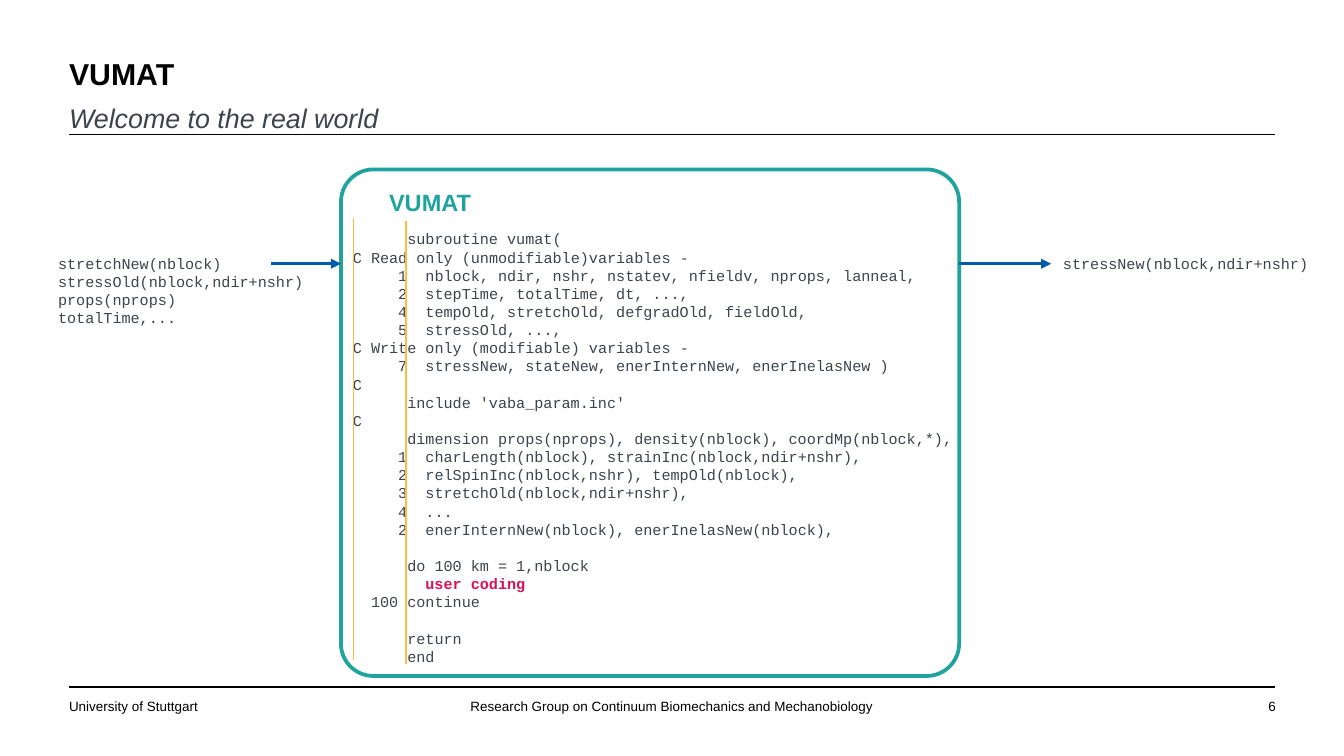
from dataclasses import dataclass

from lxml import etree
from pptx import Presentation
from pptx.dml.color import RGBColor
from pptx.enum.shapes import MSO_CONNECTOR, MSO_SHAPE
from pptx.enum.text import MSO_ANCHOR, MSO_AUTO_SIZE, PP_ALIGN
from pptx.oxml.ns import qn
from pptx.util import Cm, Pt

STRAIGHT = MSO_CONNECTOR.STRAIGHT
ROUNDED = MSO_SHAPE.ROUNDED_RECTANGLE
LEFT, CENTER, RIGHT = PP_ALIGN.LEFT, PP_ALIGN.CENTER, PP_ALIGN.RIGHT
TOP, MIDDLE, BOTTOM = MSO_ANCHOR.TOP, MSO_ANCHOR.MIDDLE, MSO_ANCHOR.BOTTOM
NO_FIT = MSO_AUTO_SIZE.NONE

BLACK, GREY, TEAL = "000000", "3E444C", "20A39E"
BLUE, AMBER, RED = "005BAA", "FFBC42", "D81159"
CODE_PITCH = Pt(10.8)
CODE_CHAR = Pt(5.4)
PAGE_LEFT, PAGE_RIGHT = 1.45, 26.77
PAGE_WIDTH = PAGE_RIGHT - PAGE_LEFT
FRAME_LEFT, FRAME_RIGHT = 7.16, 20.14
ARROW_Y = 5.54


@dataclass
class CodeLine:
    """One line of code, indented by a number of characters."""
    indent: int
    text: str
    blank_before: bool = False
    color: str = GREY
    bold: bool = False


@dataclass
class Label:
    """A one-line text and the box it stands in, in centimetres."""
    text: str
    area: tuple[float, float, float, float]
    font: dict
    align: int = LEFT
    anchor: int = TOP
    margins: tuple[float, float] = (0, 0)


@dataclass
class Stroke:
    """A straight line between two points, in centimetres."""
    start: tuple[float, float]
    end: tuple[float, float]
    color: str
    width: float
    arrow: bool = False


SUBROUTINE = [
    CodeLine(6, "subroutine vumat("),
    CodeLine(0, "C Read only (unmodifiable)variables -"),
    CodeLine(5, "1  nblock, ndir, nshr, nstatev, nfieldv, nprops, lanneal,"),
    CodeLine(5, "2  stepTime, totalTime, dt, ...,"),
    CodeLine(5, "4  tempOld, stretchOld, defgradOld, fieldOld,"),
    CodeLine(5, "5  stressOld, ...,"),
    CodeLine(0, "C Write only (modifiable) variables -"),
    CodeLine(5, "7  stressNew, stateNew, enerInternNew, enerInelasNew )"),
    CodeLine(0, "C"),
    CodeLine(6, "include 'vaba_param.inc'"),
    CodeLine(0, "C"),
    CodeLine(6, "dimension props(nprops), density(nblock), coordMp(nblock,*),"),
    CodeLine(5, "1  charLength(nblock), strainInc(nblock,ndir+nshr),"),
    CodeLine(5, "2  relSpinInc(nblock,nshr), tempOld(nblock),"),
    CodeLine(5, "3  stretchOld(nblock,ndir+nshr),"),
    CodeLine(5, "4  ..."),
    CodeLine(5, "2  enerInternNew(nblock), enerInelasNew(nblock),"),
    CodeLine(6, "do 100 km = 1,nblock", blank_before=True),
    CodeLine(8, "user coding", color=RED, bold=True),
    CodeLine(2, "100 continue"),
    CodeLine(6, "return", blank_before=True),
    CodeLine(6, "end"),
]
INPUTS = [CodeLine(0, text) for text in (
    "stretchNew(nblock)", "stressOld(nblock,ndir+nshr)",
    "props(nprops)", "totalTime,...")]
OUTPUTS = [CodeLine(0, "stressNew(nblock,ndir+nshr)")]
CODE_BOXES = [
    (SUBROUTINE, (FRAME_LEFT, 4.7, 13.46, 9.5)),
    (INPUTS, (0.97, 5.21, 5.74, 2.57)),
    (OUTPUTS, (22.07, 5.21, 5.74, 0.64)),
]

FOOTER_FONT = {"size": Pt(8)}
LABELS = [
    Label("University of Stuttgart", (PAGE_LEFT, 14.66, 4.19, 0.33), FOOTER_FONT),
    Label("6", (25.98, 14.66, 0.81, 0.33), FOOTER_FONT, RIGHT),
    Label("Research Group on Continuum Biomechanics and Mechanobiology",
          (7.47, 14.66, 13.28, 0.33), FOOTER_FONT, CENTER, MIDDLE),
    Label("VUMAT", (7.92, 3.81, 2.67, 0.86),
          {"size": Pt(14), "bold": True, "color": TEAL}, margins=(0.25, 0.13)),
]
STROKES = [
    Stroke((PAGE_LEFT, 2.82), (PAGE_RIGHT, 2.82), BLACK, 0.75),
    Stroke((PAGE_LEFT, 14.43), (PAGE_RIGHT, 14.43), BLACK, 0.75),
    Stroke((5.69, ARROW_Y), (FRAME_LEFT, ARROW_Y), BLUE, 1.5, True),
    Stroke((FRAME_RIGHT, ARROW_Y), (22.07, ARROW_Y), BLUE, 1.5, True),
    Stroke((8.53, 4.65), (8.53, 13.94), AMBER, 1),
    Stroke((7.42, 4.57), (7.42, 13.87), AMBER, 1),
]


def rgb(color: str) -> RGBColor:
    """Turn a hex string into a colour."""
    return RGBColor.from_string(color)


def set_all(target, values: dict) -> None:
    """Set every attribute named in values."""
    for name, value in values.items():
        setattr(target, name, value)


def add_span(para, text: str, color: str = BLACK, **font) -> None:
    """Add formatted text to a paragraph."""
    span = para.add_run()
    span.text = text
    set_all(span.font, {"name": "Arial", "bold": False} | font)
    span.font.color.rgb = rgb(color)


def set_frame(frame, anchor=TOP, margins=(0.25, 0.13)) -> None:
    """Set wrapping, anchor and the side and top margins of a text frame."""
    side, edge = (Cm(margin) for margin in margins)
    set_all(frame, {"word_wrap": True, "auto_size": NO_FIT,
                    "vertical_anchor": anchor, "margin_left": side,
                    "margin_right": side, "margin_top": edge,
                    "margin_bottom": edge})


def add_label(page, label: Label) -> None:
    """Draw a one-line text box."""
    box = page.shapes.add_textbox(*map(Cm, label.area))
    set_frame(box.text_frame, label.anchor, label.margins)
    para = box.text_frame.paragraphs[0]
    para.alignment = label.align
    add_span(para, label.text, **label.font)


def add_code(page, lines: list[CodeLine], area: tuple) -> None:
    """Draw a box of code with one paragraph a line."""
    frame = page.shapes.add_textbox(*map(Cm, area)).text_frame
    set_frame(frame)
    for index, line in enumerate(lines):
        para = frame.add_paragraph() if index else frame.paragraphs[0]
        para.line_spacing = CODE_PITCH
        para.space_before = CODE_PITCH if line.blank_before else Pt(0)
        para._p.get_or_add_pPr().set("marL", str(line.indent * CODE_CHAR))
        add_span(para, line.text, line.color, name="Courier New",
                 size=Pt(9), bold=line.bold)


def fill_placeholder(holder, text: str, top: float, anchor, spacing: dict,
                     **font) -> None:
    """Place a heading placeholder and write its unbulleted text."""
    set_all(holder, {"left": Cm(PAGE_LEFT), "top": Cm(top),
                     "width": Cm(PAGE_WIDTH), "height": Cm(0.76)})
    set_frame(holder.text_frame, anchor, (0, 0))
    para = holder.text_frame.paragraphs[0]
    set_all(para, {"alignment": LEFT} | spacing)
    properties = para._p.get_or_add_pPr()
    set_all_xml = {"marL": "0", "indent": "0"}
    properties.attrib.update(set_all_xml)
    etree.SubElement(properties, qn("a:buNone"))
    add_span(para, text, **font)


def add_stroke(page, stroke: Stroke) -> None:
    """Draw a line, with an arrowhead at its end if asked."""
    ends = map(Cm, stroke.start + stroke.end)
    line = page.shapes.add_connector(STRAIGHT, *ends)
    line.line.color.rgb = rgb(stroke.color)
    line.line.width = Pt(stroke.width)
    if stroke.arrow:
        etree.SubElement(line.line._get_or_add_ln(), qn("a:tailEnd"), type="triangle")
    etree.SubElement(line._element.spPr, qn("a:effectLst"))


def add_code_frame(page) -> None:
    """Draw the rounded outline around the subroutine."""
    area = (FRAME_LEFT, 3.56, FRAME_RIGHT - FRAME_LEFT, 10.64)
    outline = page.shapes.add_shape(ROUNDED, *map(Cm, area))
    outline.adjustments[0] = 0.064
    outline.shadow.inherit = False
    outline.fill.background()
    outline.line.color.rgb = rgb(TEAL)
    outline.line.width = Pt(2.25)


deck = Presentation()
deck.slide_width, deck.slide_height = Cm(28.22), Cm(15.88)
page = deck.slides.add_slide(deck.slide_layouts[1])
fill_placeholder(page.shapes.title, "VUMAT", 1.17, BOTTOM,
                 {"line_spacing": 0.9}, size=Pt(18), bold=True)
fill_placeholder(page.placeholders[1], "Welcome to the real world", 2.01, TOP,
                 {"line_spacing": 1.2, "space_before": Pt(6.2)},
                 color=GREY, size=Pt(16), italic=True)
for lines, area in CODE_BOXES:
    add_code(page, lines, area)
add_code_frame(page)
for label in LABELS:
    add_label(page, label)
for stroke in STROKES:
    add_stroke(page, stroke)
deck.save("out.pptx")
